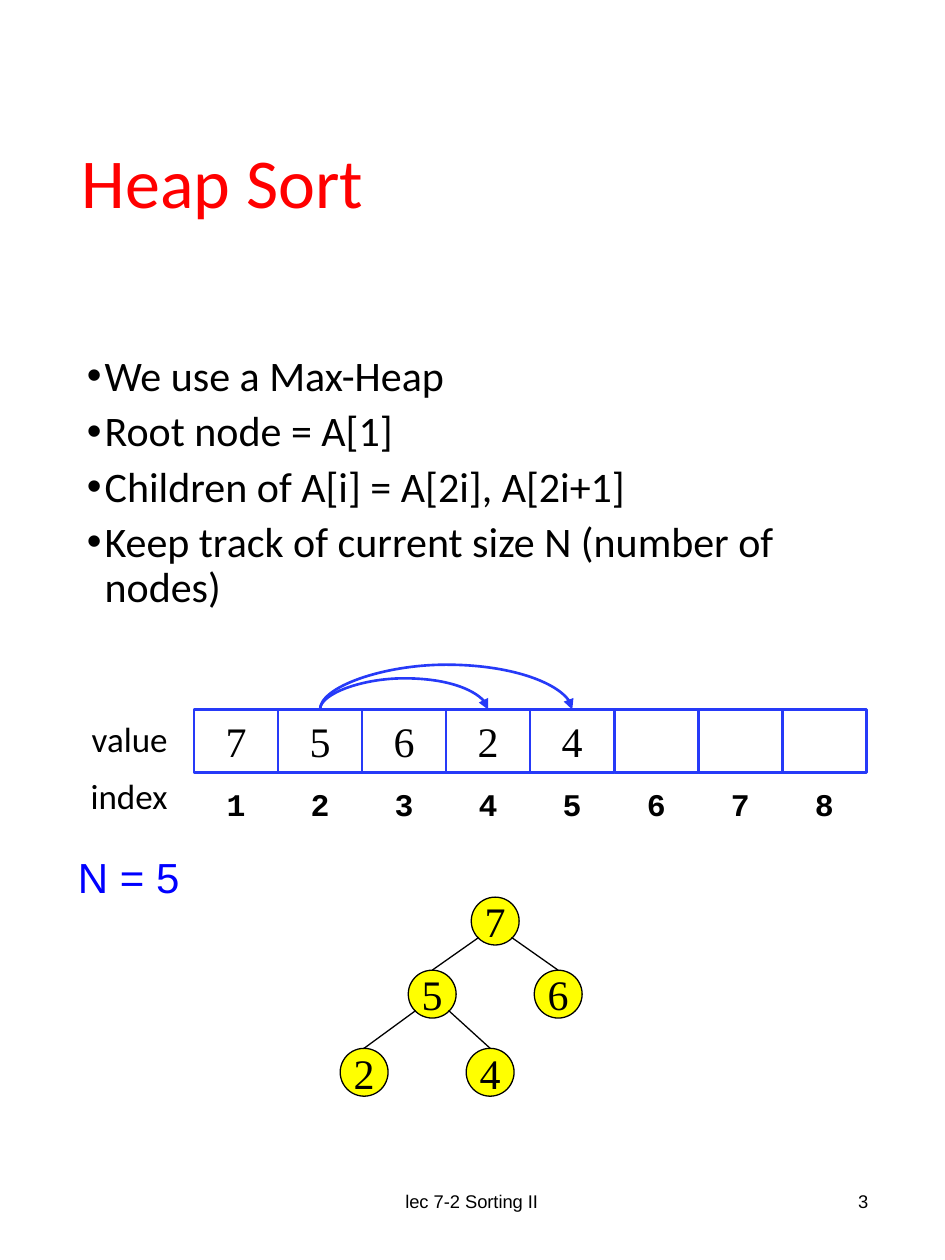
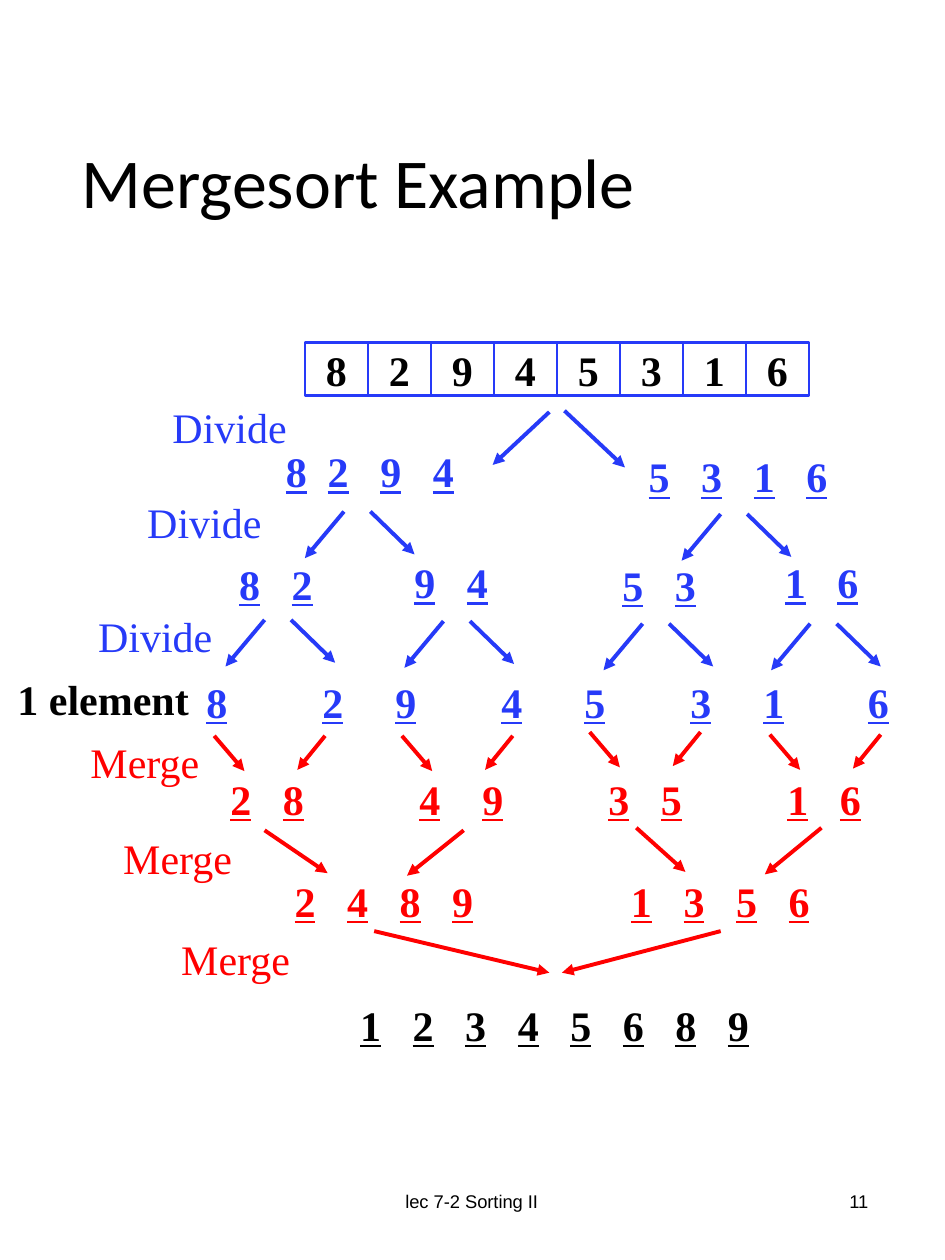
from itertools import zip_longest

from lxml import etree
from pptx import Presentation
from pptx.dml.color import RGBColor
from pptx.enum.shapes import MSO_CONNECTOR, MSO_SHAPE
from pptx.enum.text import MSO_ANCHOR, MSO_AUTO_SIZE, PP_ALIGN
from pptx.oxml.ns import qn
from pptx.util import Inches, Pt

BLACK = RGBColor(0x00, 0x00, 0x00)
RED = RGBColor(0xFF, 0x00, 0x00)
BLUE = RGBColor(0x26, 0x3A, 0xF8)
PURE_BLUE = RGBColor(0x00, 0x00, 0xFF)
YELLOW = RGBColor(0xFF, 0xFF, 0x00)

SANS, ARIAL, SERIF, MONO = "Calibri", "Arial", "Times New Roman", "Courier New"
LEFT, CENTER, RIGHT = PP_ALIGN.LEFT, PP_ALIGN.CENTER, PP_ALIGN.RIGHT
TOP, MIDDLE = MSO_ANCHOR.TOP, MSO_ANCHOR.MIDDLE
STRAIGHT, CURVE = MSO_CONNECTOR.STRAIGHT, MSO_CONNECTOR.CURVE
RECTANGLE, OVAL = MSO_SHAPE.RECTANGLE, MSO_SHAPE.OVAL
NO_AUTOFIT = MSO_AUTO_SIZE.NONE

COLUMNS, ROWS = 75, 100
TITLE_ONLY, TITLE_AND_BODY = 5, 1
DIGIT_PITCH = 4.17
FOOTER = "lec 7-2 Sorting II"


def write(paragraph, text, *, size=24, font=SERIF, color=BLACK, bold=False,
          underline=False, align=None):
    if align is not None:
        paragraph.alignment = align
    run = paragraph.add_run()
    run.text = text
    run.font.size = Pt(size)
    run.font.name = font
    run.font.color.rgb = color
    run.font.bold = bold
    run.font.underline = underline


def add_xml(parent, tag, **attributes):
    values = {name: str(value) for name, value in attributes.items()}
    return etree.SubElement(parent, qn(tag), values)


def spread(start, count, pitch=DIGIT_PITCH):
    return [start + index * pitch for index in range(count)]


class Deck:
    """Holds the presentation, its grid and the slide being filled."""

    def __init__(self):
        self.presentation = Presentation()
        self.presentation.slide_width = Inches(7.5)
        self.presentation.slide_height = Inches(10)
        self.column = self.presentation.slide_width / COLUMNS
        self.row = self.presentation.slide_height / ROWS
        self.slide = None

    def across(self, columns):
        return round(columns * self.column)

    def down(self, rows):
        return round(rows * self.row)

    def box(self, left, top, width, height):
        return (self.across(left), self.down(top),
                self.across(width), self.down(height))

    def place(self, shape, *box):
        shape.left, shape.top, shape.width, shape.height = self.box(*box)

    def new_slide(self, layout, title, number, title_color=BLACK):
        layouts = self.presentation.slide_layouts
        self.slide = self.presentation.slides.add_slide(layouts[layout])
        shape = self.slide.shapes.title
        self.place(shape, 5.5, 5.1, 64.7, 19.3)
        frame = shape.text_frame
        frame.vertical_anchor, frame.auto_size = MIDDLE, NO_AUTOFIT
        paragraph = frame.paragraphs[0]
        paragraph.line_spacing = 0.9
        write(paragraph, title, size=40, font=SANS, color=title_color,
              align=LEFT)
        footer_style = dict(anchor=MIDDLE, size=10.5, font=ARIAL)
        self.label(FOOTER, 24.8, 92.7, 25.3, 5.3, align=CENTER, **footer_style)
        self.label(str(number), 53, 92.7, 16.9, 5.3, align=RIGHT,
                   **footer_style)

    def bullets(self, lines, *box):
        shape = self.slide.placeholders[1]
        self.place(shape, *box)
        frame = shape.text_frame
        frame.vertical_anchor, frame.auto_size = TOP, NO_AUTOFIT
        for index, line in enumerate(lines):
            paragraph = frame.add_paragraph() if index else frame.paragraphs[0]
            properties = paragraph._p.get_or_add_pPr()
            indent = self.across(1.4)
            properties.set("marL", str(indent))
            properties.set("indent", str(-indent))
            add_xml(properties, "a:buFont", typeface=ARIAL)
            add_xml(properties, "a:buChar", char="•")
            paragraph.line_spacing = 0.9
            paragraph.space_before = Pt(5.7 if index else 0)
            write(paragraph, line, font=SANS, align=LEFT)

    def label(self, text, left, top, width, height=5, *, anchor=TOP,
              align=LEFT, **style):
        shape = self.slide.shapes.add_textbox(
            *self.box(left, top, width, height))
        frame = shape.text_frame
        frame.word_wrap, frame.vertical_anchor = False, anchor
        write(frame.paragraphs[0], text, align=align, **style)

    def shape(self, kind, text, *box, fill=None, line=BLACK, weight=0.75,
              **style):
        shape = self.slide.shapes.add_shape(kind, *self.box(*box))
        shape.shadow.inherit = False
        if fill is None:
            shape.fill.background()
        else:
            shape.fill.solid()
            shape.fill.fore_color.rgb = fill
        shape.line.color.rgb = line
        shape.line.width = Pt(weight)
        frame = shape.text_frame
        frame.word_wrap, frame.vertical_anchor = False, MIDDLE
        if text:
            write(frame.paragraphs[0], text, align=CENTER, **style)
        return shape

    def cells(self, values, left, top, width, height, **style):
        return [self.shape(RECTANGLE, value, cell_left, top, width, height,
                           line=BLUE, weight=1.5, **style)
                for value, cell_left in zip(
                    values, spread(left, len(values), width))]

    def line(self, x1, y1, x2, y2, color=BLACK, weight=0.75, arrow=False,
             kind=STRAIGHT):
        connector = self.slide.shapes.add_connector(
            kind, self.across(x1), self.down(y1),
            self.across(x2), self.down(y2))
        connector.line.color.rgb = color
        connector.line.width = Pt(weight)
        if arrow:
            add_xml(connector.line._get_or_add_ln(), "a:tailEnd",
                    type="triangle")
        add_xml(connector._element.spPr, "a:effectLst")
        return connector

    def arrows(self, color, *ends):
        for points in ends:
            self.line(*points, color, 2.25, arrow=True)

    def arc(self, start, end, x1, x2, y, rise):
        """Curved arrow bulging upwards between the tops of two cells."""
        connector = self.line(x1, y, x2, y, BLUE, 1.5, True, CURVE)
        connector.begin_connect(start, 0)
        connector.end_connect(end, 0)
        thin, span = 0.02, x2 - x1
        self.place(connector, (x1 + x2 - thin) / 2, y - span / 2, thin, span)
        properties = connector._element.spPr
        transform = properties.find(qn("a:xfrm"))
        transform.set("rot", "5400000")
        transform.set("flipV", "1")
        add_xml(properties.find(".//" + qn("a:avLst")), "a:gd", name="adj1",
                fmla=f"val {round(-rise / thin * 100000)}")

    def number_groups(self, left, top, width, color, *groups):
        """Underlined digits on tab stops; a spare stop extends the line."""
        shape = self.slide.shapes.add_textbox(*self.box(left, top, width, 5))
        frame = shape.text_frame
        frame.word_wrap, frame.margin_right = True, 0
        paragraph = frame.paragraphs[0]
        tabs = add_xml(paragraph._p.get_or_add_pPr(), "a:tabLst")
        style = dict(color=color, bold=True)
        for digits, stops in groups:
            for stop in stops:
                if stop:
                    add_xml(tabs, "a:tab", pos=self.across(stop), algn="l")
            if stops[0]:
                write(paragraph, "\t", **style)
            pairs = zip_longest(digits, stops, fillvalue="")
            text = "\t".join(digit for digit, _ in pairs)
            write(paragraph, text, underline=True, **style)


def heap_sort(deck):
    deck.new_slide(TITLE_AND_BODY, "Heap Sort", 3, RED)
    deck.bullets(["We use a Max-Heap", "Root node = A[1]",
                  "Children of A[i] = A[2i], A[2i+1]",
                  "Keep track of current size N (number of nodes)"],
                 5.9, 27.7, 61.9, 23.9)
    deck.label("N = 5", 5.2, 67.1, 10.1, font=ARIAL, color=PURE_BLUE)
    row_name = dict(size=20, font=SANS, align=CENTER, anchor=MIDDLE)
    deck.label("value", 5.8, 56.4, 9, 4.4, **row_name)
    deck.label("index", 5.6, 60.9, 9.3, 4.4, **row_name)

    array_left, array_top, cell = 15.4, 56.3, 6.67
    heap = deck.cells(["7", "5", "6", "2", "4", "", "", ""],
                      array_left, array_top, cell, 5)
    for index, left in enumerate(spread(array_left, len(heap), cell), 1):
        deck.label(str(index), left, 61.3, cell, size=18, font=MONO,
                   bold=True, align=CENTER, anchor=MIDDLE)
    centers = spread(array_left + cell / 2, len(heap), cell)
    for child, rise in ((3, 2.5), (4, 3.6)):
        deck.arc(heap[1], heap[child], centers[1], centers[child],
                 array_top, rise)

    node = 3.8
    nodes = {"7": (37.4, 71.2), "5": (32.4, 77), "6": (42.4, 77),
             "2": (27, 83.2), "4": (37, 83.2)}
    for value, (left, top) in nodes.items():
        deck.shape(OVAL, value, left, top, node, node, fill=YELLOW)
    for parent, children in (("7", "56"), ("5", "24")):
        left, top = nodes[parent]
        for child, side in zip(children, (-1.3, 1.3)):
            child_left, child_top = nodes[child]
            deck.line(left + node / 2 + side, top + 3.2,
                      child_left + node / 2, child_top)


def mergesort(deck):
    deck.new_slide(TITLE_ONLY, "Mergesort Example", 11)
    deck.cells("82945316", 24.2, 27.2, 5, 4.2, bold=True)

    deck.number_groups(21.7, 34.9, 15.3, BLUE,
                       ("8294", [0, 3.33, 7.5, 11.67]))
    deck.number_groups(50.5, 35.3, 16.2, BLUE, ("5316", spread(0, 4)))
    for digits, left, top in (("82", 18, 43.8), ("94", 31.9, 43.7),
                              ("53", 48.4, 43.9), ("16", 61.3, 43.7)):
        deck.number_groups(left, top, 7.8, BLUE, (digits, spread(0, 2)))
    single_stops = (0, 9.2, 15, 23.4, 30, 38.4, 44.2, 52.5)
    deck.number_groups(15.4, 53.2, 56.7, BLUE,
                       *((digit, [stop])
                         for digit, stop in zip("82945316", single_stops)))
    deck.number_groups(14.8, 60.9, 55, RED, ("28", spread(2.5, 2)),
                       ("49", [17.5, 22.5, 25.8]),
                       ("35", spread(32.5, 2)), ("16", spread(46.7, 2)))
    deck.number_groups(15.8, 69, 50, RED,
                       ("2489", spread(6.6, 4) + [24.1]),
                       ("1356", spread(33.3, 4)))
    deck.number_groups(27.6, 78.8, 33.2, BLACK, ("12345689", spread(0, 8)))

    for left, top in ((12.7, 31.4), (10.7, 38.9), (6.8, 48)):
        deck.label("Divide", left, top, 11.1, color=BLUE)
    for left, top in ((6.2, 58), (8.8, 65.6), (13.4, 73.6)):
        deck.label("Merge", left, top, 10.7, color=RED)
    deck.label("1 element", 0.4, 53, 15.7, bold=True)

    deck.arrows(BLUE, (43.6, 32.7, 39.1, 36.9), (44.8, 32.6, 49.6, 37.1))
    for x, y in ((27.3, 40.6), (57.2, 40.8), (21, 49.2), (35.2, 49.3),
                 (51, 49.5), (64.3, 49.5)):
        deck.arrows(BLUE, (x, y, x - 3.1, y + 3.7),
                    (x + 2.1, y, x + 5.6, y + 3.4))
    for x, y in ((17, 58.4), (31.9, 58.4), (46.8, 58.1), (61.1, 58.3)):
        deck.arrows(RED, (x, y, x + 2.4, y + 2.8),
                    (x + 8.8, y, x + 6.6, y + 2.7))
    deck.arrows(RED, (21, 65.9, 26, 69.3), (36.8, 65.9, 32.3, 69.5),
                (50.5, 65.7, 54.4, 69.2), (65.2, 65.7, 60.7, 69.4),
                (29.7, 73.9, 43.6, 77.2), (57.2, 73.9, 44.6, 77.2))


def main():
    deck = Deck()
    heap_sort(deck)
    mergesort(deck)
    deck.presentation.save("out.pptx")


if __name__ == "__main__":
    main()
